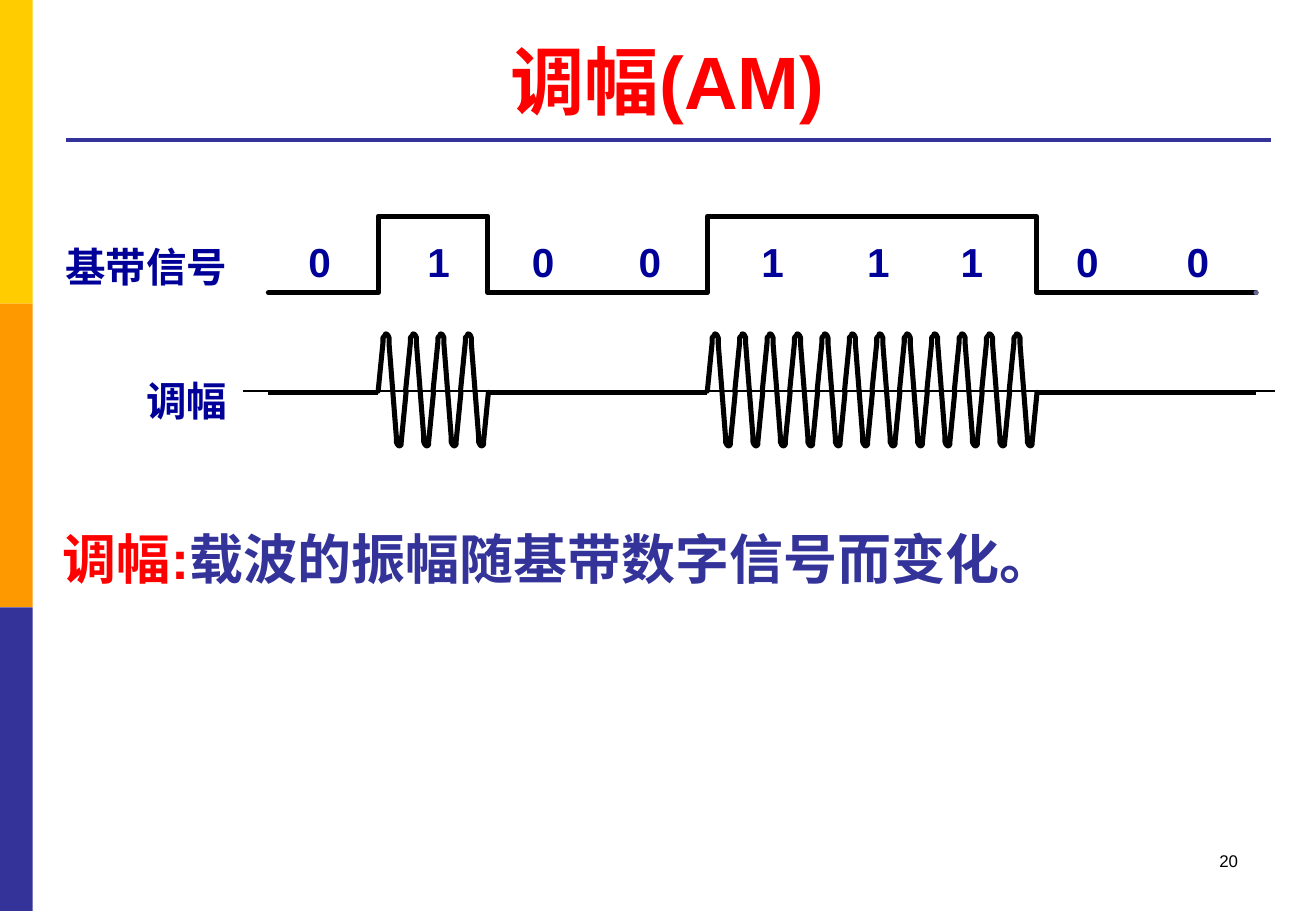
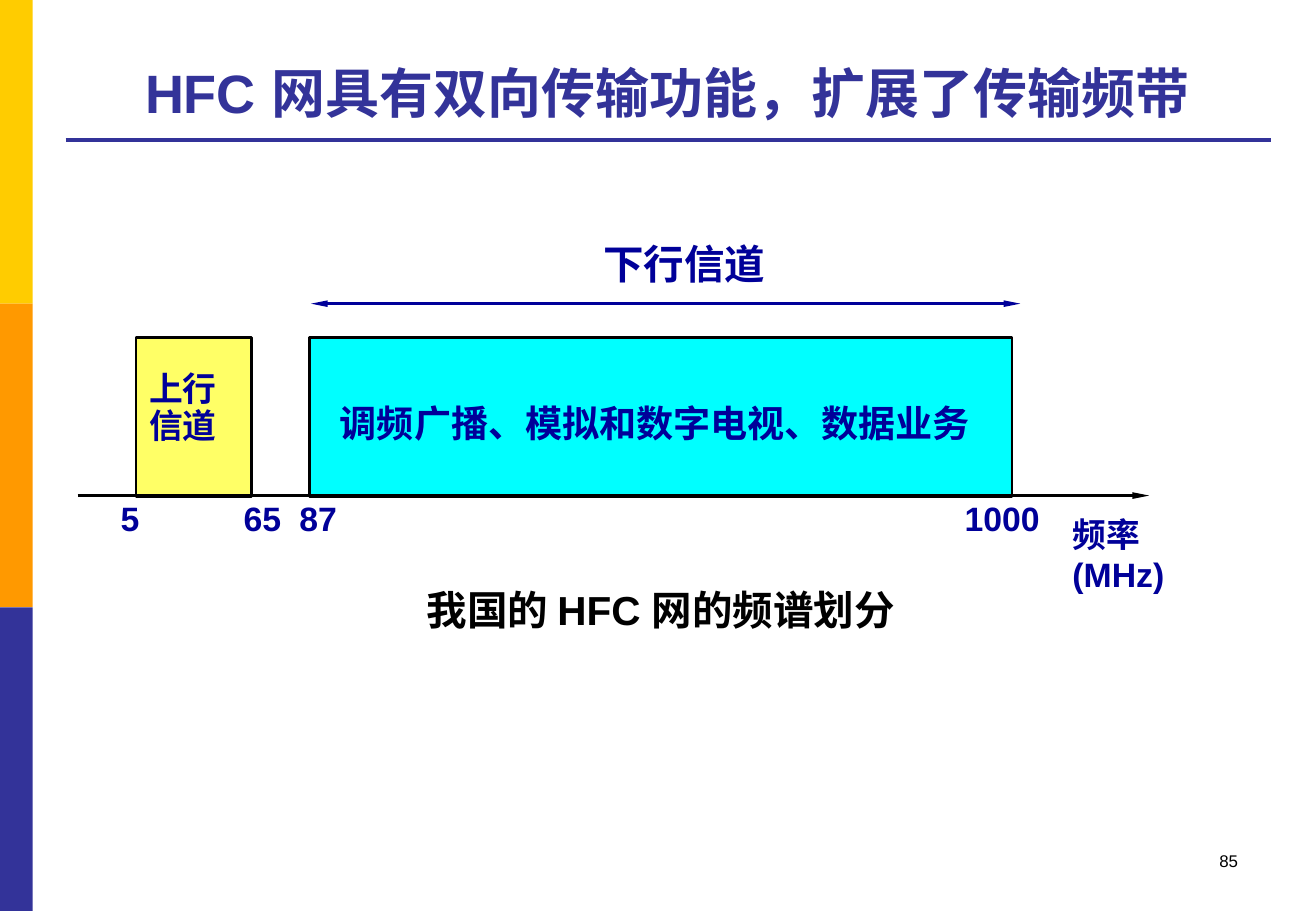
from dataclasses import dataclass
from itertools import groupby

from lxml.etree import SubElement
from pptx import Presentation
from pptx.dml.color import RGBColor
from pptx.enum.shapes import MSO_CONNECTOR, MSO_SHAPE
from pptx.enum.text import MSO_ANCHOR, PP_ALIGN
from pptx.oxml.ns import qn
from pptx.util import Pt

PX = 9144


@dataclass(frozen=True)
class Theme:
    font: str = "Arial"
    yellow: str = "FFCC00"
    orange: str = "FF9900"
    indigo: str = "333399"
    navy: str = "000099"
    red: str = "FF0000"
    black: str = "000000"
    white: str = "FFFFFF"
    dot: str = "666699"
    upstream: str = "FFFF66"
    downstream: str = "00FFFF"
    title: int = 44
    heading: int = 32
    label: int = 24
    service: int = 22
    small: int = 20
    number: int = 10


theme = Theme()


def add_text(page, text, left, top, width, height, size=theme.label, colour=theme.navy,
             bold=True, align=PP_ALIGN.LEFT, anchor=MSO_ANCHOR.TOP, spacing=None, lead="",
             fill=None):
    area = [length * PX for length in (left, top, width, height)]
    if fill:
        box = page.shapes.add_shape(MSO_SHAPE.RECTANGLE, *area)
        box.shadow.inherit = False
        box.fill.solid()
        box.fill.fore_color.rgb = RGBColor.from_string(fill)
        box.line.fill.background()
    else:
        box = page.shapes.add_textbox(*area)
    frame = box.text_frame
    frame.word_wrap = True
    frame.vertical_anchor = anchor
    for index, line in enumerate(text.split("\n")):
        para = frame.add_paragraph() if index else frame.paragraphs[0]
        para.alignment = align
        para.line_spacing = spacing
        runs = [(lead, theme.red)] if lead and not index else []
        for words, shade in runs + [(line, colour)]:
            span = para.add_run()
            span.text = words
            span.font.name = theme.font
            span.font.size = Pt(size)
            span.font.bold = bold
            span.font.color.rgb = RGBColor.from_string(shade)


def add_line(page, left, right, y, colour, weight, arrows=()):
    line = page.shapes.add_connector(
        MSO_CONNECTOR.STRAIGHT, round(left * PX), y * PX, round(right * PX), y * PX)
    line.line.color.rgb = RGBColor.from_string(colour)
    line.line.width = Pt(weight)
    outline = line.line._get_or_add_ln()
    for end in arrows:
        SubElement(outline, qn(f"a:{end}"), type="triangle", w="sm", len="lg")
    SubElement(line._element.spPr, qn("a:effectLst"))


deck = Presentation()
deck.slide_width = 3250 * PX // 3
deck.slide_height = 750 * PX

pages = []
for title, size, colour, number in (
    ("调幅(AM)", theme.title, theme.red, "20"),
    ("HFC 网具有双向传输功能，扩展了传输频带", theme.heading, theme.indigo, "85"),
):
    page = deck.slides.add_slide(deck.slide_layouts[6])
    for index, fill in enumerate((theme.yellow, theme.orange, theme.indigo)):
        band = page.shapes.add_shape(
            MSO_SHAPE.RECTANGLE, 0, index * 250 * PX, 27 * PX, 250 * PX)
        band.shadow.inherit = False
        band.fill.solid()
        band.fill.fore_color.rgb = RGBColor.from_string(fill)
        band.line.fill.background()
    add_line(page, 54, 1046, 115, theme.indigo, 2.25)
    add_text(page, title, 54, 21, 991, 86, size=size, colour=colour,
             align=PP_ALIGN.CENTER, anchor=MSO_ANCHOR.BOTTOM)
    add_text(page, number, 776, 695, 253, 50, size=theme.number, colour=theme.black,
             bold=False, align=PP_ALIGN.RIGHT)
    pages.append(page)

modulation, spectrum = pages

bits = "010011100"
digit_lefts = (244, 342, 428, 516, 617, 704, 781, 876, 967)
for bit, left in zip(bits, digit_lefts):
    add_text(modulation, bit, left, 190, 39, 50)
for label, left, top, width in (("基带信号", 42, 194, 155), ("调幅", 109, 305, 88)):
    add_text(modulation, label, left, top, width, 50, align=PP_ALIGN.RIGHT)

signal_left, signal_width = 221, 813
low, high, carrier = 241, 178, 323
cycles_per_bit = 4
bit_width = signal_width / len(bits)
cycle_width = bit_width / cycles_per_bit
rise = ((0, -1), (4, -41), (4, -43), (4, -45), (5, -46), (6, -47), (6, -48))
fall = ((7, -48), (8, -47), (9, -45), (9, -43), (9, -40), (15, 37), (15, 41),
        (16, 43), (17, 44), (18, 44), (19, 43), (19, 41), (23, 0))

baseband, half_waves = [], []
for index, bit in enumerate(bits):
    start = signal_left + index * bit_width
    level = high if bit == "1" else low
    baseband += [(start, level), (start + bit_width, level)]
    if bit == "1":
        half_waves += [[(start + cycle * cycle_width + x, carrier + y) for x, y in half]
                       for cycle in range(cycles_per_bit) for half in (rise, fall)]

for points in [baseband] + half_waves:
    corners = [(round(x * PX), round(y * PX)) for x, y in points]
    builder = modulation.shapes.build_freeform(*corners[0])
    builder.add_line_segments(corners[1:], close=False)
    trace = builder.convert_to_shape()
    trace.shadow.inherit = False
    trace.fill.background()
    trace.line.color.rgb = RGBColor.from_string(theme.black)
    trace.line.width = Pt(3)
    trace.line._get_or_add_ln().set("cap", "rnd")

start = signal_left
for bit, run in groupby(bits):
    end = start + len(list(run)) * bit_width
    if bit == "0":
        add_line(modulation, start, end, carrier, theme.black, 3)
    start = end

end_dot = modulation.shapes.add_shape(
    MSO_SHAPE.OVAL, 1032 * PX, 239 * PX, 4 * PX, 4 * PX)
end_dot.shadow.inherit = False
end_dot.fill.solid()
end_dot.fill.fore_color.rgb = RGBColor.from_string(theme.dot)
end_dot.line.fill.background()

add_line(modulation, 200, 1050, 322, theme.black, 1)
add_text(modulation, "载波的振幅随基带数字信号而变化。", 42, 428, 1008, 64,
         size=theme.heading, colour=theme.indigo, lead="调幅:")

for left, width, fill in ((112, 95, theme.upstream), (255, 578, theme.downstream)):
    channel = spectrum.shapes.add_shape(
        MSO_SHAPE.RECTANGLE, left * PX, 278 * PX, width * PX, 131 * PX)
    channel.shadow.inherit = False
    channel.fill.solid()
    channel.fill.fore_color.rgb = RGBColor.from_string(fill)
    channel.line.color.rgb = RGBColor.from_string(theme.black)
    channel.line.width = Pt(1.5)

add_line(spectrum, 256, 840, 250, theme.navy, 1.5, arrows=("headEnd", "tailEnd"))
add_line(spectrum, 64, 946, 408, theme.black, 1.5, arrows=("tailEnd",))
add_text(spectrum, "下行信道", 487, 192, 156, 50, fill=theme.white)
add_text(spectrum, "上行\n信道", 113, 302, 90, 71, size=theme.small, spacing=0.9)
add_text(spectrum, "调频广播、模拟和数字电视、数据业务", 270, 325, 548, 47, size=theme.service)
for frequency, centre in (("5", 107), ("65", 216), ("87", 262), ("1000", 825)):
    add_text(spectrum, frequency, centre - 50, 405, 100, 44, size=theme.small,
             align=PP_ALIGN.CENTER)
add_text(spectrum, "频率\n(MHz)", 873, 418, 153, 78, size=theme.small)
add_text(spectrum, "我国的 HFC 网的频谱划分", 255, 477, 578, 50, colour=theme.black,
         align=PP_ALIGN.CENTER)

deck.save("out.pptx")
